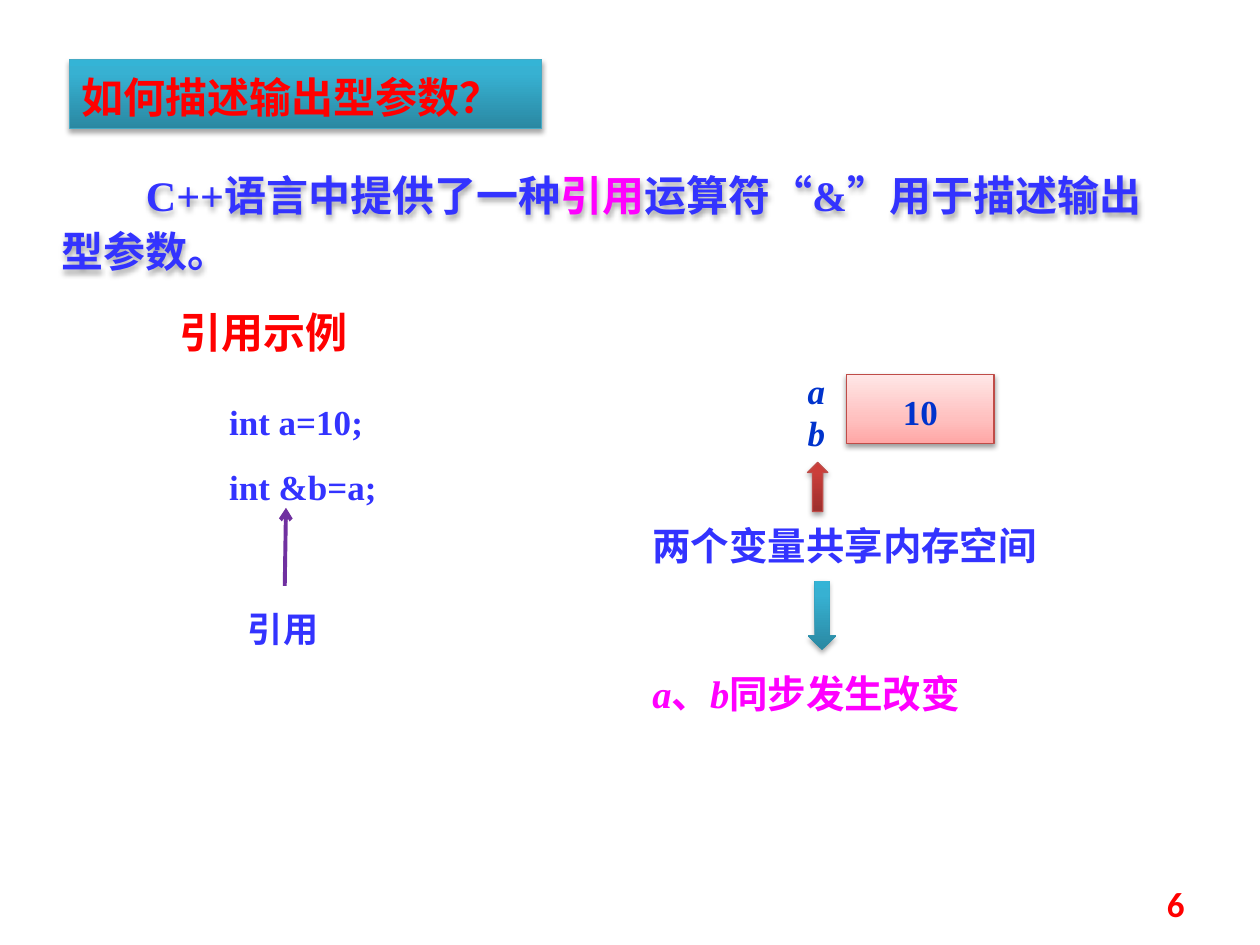
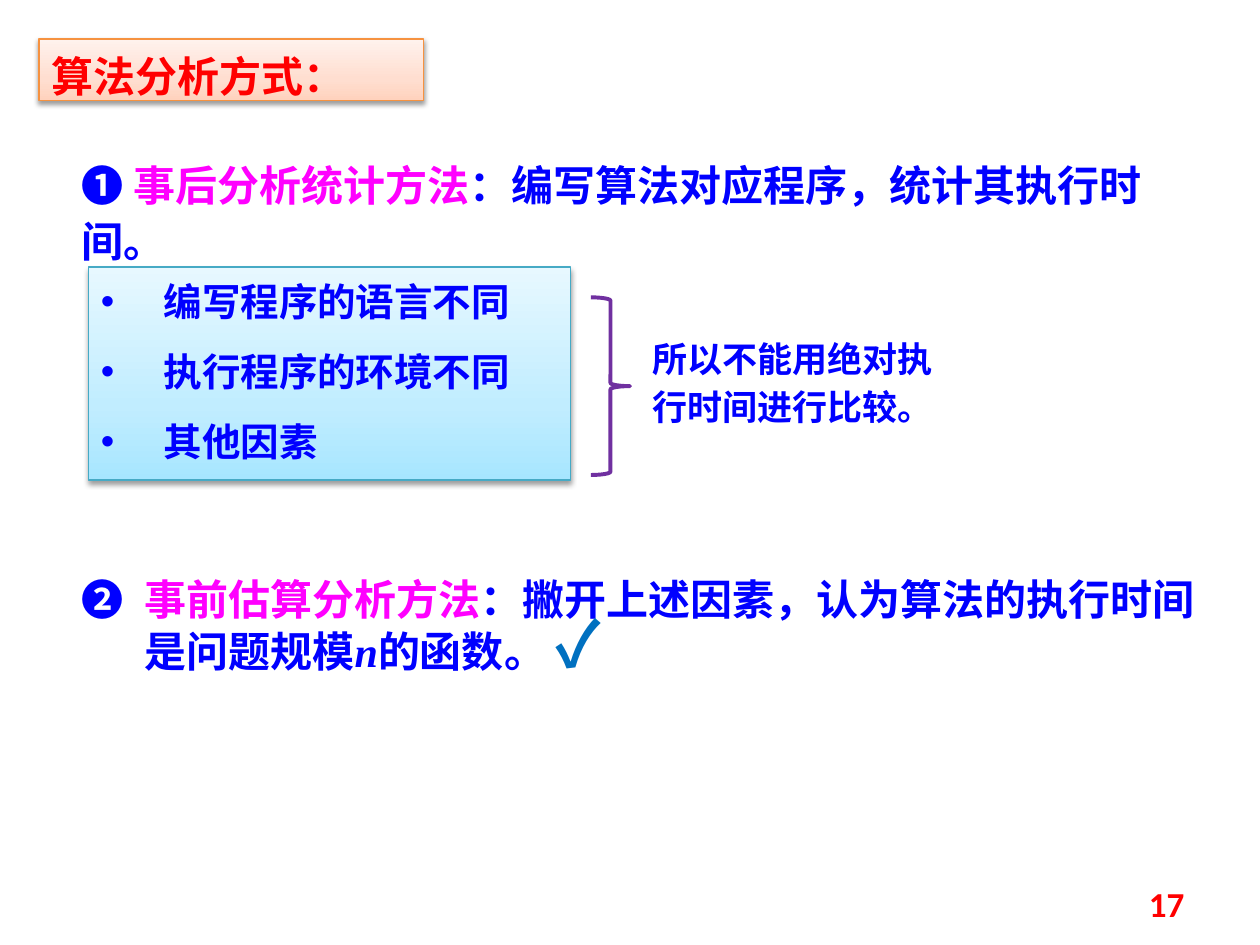
from dataclasses import dataclass

from lxml.etree import SubElement
from pptx import Presentation
from pptx.dml.color import RGBColor
from pptx.enum.shapes import MSO_CONNECTOR, MSO_SHAPE
from pptx.enum.text import MSO_ANCHOR, MSO_AUTO_SIZE, PP_ALIGN
from pptx.oxml.ns import qn
from pptx.util import Inches, Pt


@dataclass(frozen=True)
class Gradient:
    """Colour stops (percent, colour) running from the bottom edge upwards."""
    stops: tuple[tuple[int, str], ...]
    line: str | None = None
    shadow_alpha: int = 35


@dataclass(frozen=True)
class Theme:
    blue: str = "3333FF"
    navy: str = "0033CC"
    pure_blue: str = "0000FF"
    magenta: str = "FF00FF"
    red: str = "FF0000"
    purple: str = "7030A0"
    tick: str = "0070C0"
    serif: str = "Times New Roman"
    sans: str = "Calibri"
    chinese: str = "Noto Sans CJK SC"
    heading: int = 24
    body: int = 22
    small: int = 20
    mark: int = 36
    teal: Gradient = Gradient(((0, "2A88A2"), (80, "37B1D2"), (100, "34B4D6")), "46AAC5")
    teal_plain: Gradient = Gradient(((0, "2A88A2"), (80, "37B1D2"), (100, "34B4D6")))
    crimson: Gradient = Gradient(((0, "9C2F2D"), (80, "CB3E3A"), (100, "CE3B37")), "BF4C48")
    pink: Gradient = Gradient(((0, "FFA6A5"), (35, "FFC0BF"), (100, "FFE7E7")), "BF4C48", 38)
    peach: Gradient = Gradient(((0, "FFD2BD"), (35, "FFDED0"), (100, "FFF2ED")), "F69240", 38)
    sky: Gradient = Gradient(((0, "A7E6FF"), (35, "C1EDFF"), (100, "E7F8FF")), "46AAC5", 38)


THEME = Theme()


@dataclass(frozen=True)
class Area:
    left: float
    top: float
    width: float
    height: float


@dataclass(frozen=True)
class Span:
    text: str
    color: str
    italic: bool = False
    size: int | None = None


@dataclass(frozen=True)
class Style:
    size: int = THEME.small
    font: str = THEME.serif
    align: PP_ALIGN = PP_ALIGN.LEFT
    anchor: MSO_ANCHOR = MSO_ANCHOR.TOP
    margin: float = 0
    indent: float = 0


HEADING = Style(THEME.heading)
BODY = Style(THEME.body)
SMALL = Style()
LIST = Style(THEME.body, THEME.sans, PP_ALIGN.JUSTIFY, margin=0.5, indent=-0.5)


def place(shape, area: Area) -> None:
    shape.left, shape.top = Inches(area.left), Inches(area.top)
    shape.width, shape.height = Inches(area.width), Inches(area.height)


def add_shadow(shape, alpha: int) -> None:
    shape.shadow.inherit = False
    effects = shape._element.spPr.find(qn("a:effectLst"))
    shadow = SubElement(effects, qn("a:outerShdw"), blurRad=str(Pt(3.1)),
                        dist=str(Pt(1.7)), dir="5400000", rotWithShape="0")
    color = SubElement(shadow, qn("a:srgbClr"), val="000000")
    SubElement(color, qn("a:alpha"), val=str(alpha * 1000))


def paint(shape, gradient: Gradient) -> None:
    """Fill a shape with a gradient, and give it its outline and shadow."""
    shape.fill.solid()
    properties = shape._element.spPr
    fill = SubElement(properties, qn("a:gradFill"), rotWithShape="1")
    properties.replace(properties.find(qn("a:solidFill")), fill)
    stops = SubElement(fill, qn("a:gsLst"))
    for percent, color in gradient.stops:
        stop = SubElement(stops, qn("a:gs"), pos=str(percent * 1000))
        SubElement(stop, qn("a:srgbClr"), val=color)
    SubElement(fill, qn("a:lin"), ang="16200000", scaled="0")
    if gradient.line:
        shape.line.color.rgb = RGBColor.from_string(gradient.line)
        shape.line.width = Pt(0.75)
    else:
        shape.line.fill.background()
    add_shadow(shape, gradient.shadow_alpha)


def write(shape, style: Style, *lines: list[Span]) -> None:
    """Write one paragraph for each list of spans."""
    frame = shape.text_frame
    frame.word_wrap = True
    frame.auto_size = MSO_AUTO_SIZE.NONE
    frame.vertical_anchor = style.anchor
    for number, spans in enumerate(lines):
        para = frame.add_paragraph() if number else frame.paragraphs[0]
        para.alignment = style.align
        para.line_spacing = Pt(round(style.size * 4 / 3))
        para.space_before = Pt(style.size / 2)
        properties = para._p.get_or_add_pPr()
        properties.set("marL", str(Inches(style.margin)))
        properties.set("indent", str(Inches(style.indent)))
        for span in spans:
            run = para.add_run()
            run.text = span.text
            font = run.font
            font.size = Pt(span.size or style.size)
            font.bold = True
            font.italic = span.italic
            font.color.rgb = RGBColor.from_string(span.color)
            font.name = style.font
            SubElement(run._r.get_or_add_rPr(), qn("a:ea"), typeface=THEME.chinese)


def add_text(page, area: Area, style: Style, *lines: list[Span]):
    box = page.shapes.add_textbox(0, 0, 0, 0)
    place(box, area)
    write(box, style, *lines)
    return box


def add_block(page, kind: MSO_SHAPE, area: Area, gradient: Gradient):
    block = page.shapes.add_shape(kind, 0, 0, 0, 0)
    place(block, area)
    paint(block, gradient)
    return block


def add_page(deck, layout: int, title: str, area: Area, gradient: Gradient, number: int):
    """Add a slide with its coloured title band and page number."""
    page = deck.slides.add_slide(deck.slide_layouts[layout])
    band = page.shapes.title
    place(band, area)
    paint(band, gradient)
    write(band, HEADING, [Span(title, THEME.red)])
    number_style = Style(THEME.small, THEME.sans, PP_ALIGN.RIGHT, MSO_ANCHOR.MIDDLE)
    add_text(page, Area(7.17, 6.95, 2.33, 0.4), number_style, [Span(str(number), THEME.red)])
    return page


def add_reference_arrow(page) -> None:
    arrow = page.shapes.add_connector(
        MSO_CONNECTOR.STRAIGHT, Inches(2.26), Inches(4.65), Inches(2.27), Inches(4.03))
    arrow.line.color.rgb = RGBColor.from_string(THEME.purple)
    arrow.line.width = Pt(2.25)
    SubElement(arrow.line._get_or_add_ln(), qn("a:tailEnd"), type="arrow")
    SubElement(arrow._element.spPr, qn("a:effectLst"))


def build_reference_page(deck) -> None:
    blue, magenta = THEME.blue, THEME.magenta
    page = add_page(deck, 5, "如何描述输出型参数？", Area(0.55, 0.47, 3.75, 0.55), THEME.teal, 6)
    intro = add_text(page, Area(0.39, 1.25, 8.91, 0.99), Style(THEME.heading, indent=0.67),
                     [Span("C++语言中提供了一种", blue), Span("引用", magenta),
                      Span("运算符“&”用于描述输出型参数。", blue)])
    add_shadow(intro, 35)
    add_text(page, Area(1.33, 2.34, 1.72, 0.51), HEADING, [Span("引用示例", THEME.red)])
    add_text(page, Area(1.72, 3.09, 1.95, 1.01), SMALL,
             [Span("int a=10;", blue)], [Span("int &b=a;", blue)])
    add_reference_arrow(page)
    add_text(page, Area(1.87, 4.73, 0.86, 0.43), SMALL, [Span("引用", blue)])

    for name, top in (("a", 2.89), ("b", 3.22)):
        label = add_text(page, Area(6.41, top, 0.23, 0.35), SMALL,
                         [Span(name, THEME.navy, italic=True)])
        frame = label.text_frame
        frame.margin_left = frame.margin_right = frame.margin_top = frame.margin_bottom = 0
    memory = add_block(page, MSO_SHAPE.RECTANGLE, Area(6.72, 2.97, 1.17, 0.55), THEME.pink)
    write(memory, Style(align=PP_ALIGN.CENTER, anchor=MSO_ANCHOR.MIDDLE),
          [Span("10", THEME.navy)])

    add_block(page, MSO_SHAPE.UP_ARROW, Area(6.41, 3.67, 0.16, 0.39), THEME.crimson)
    add_text(page, Area(5.08, 4.06, 3.52, 0.46), BODY, [Span("两个变量共享内存空间", blue)])
    add_block(page, MSO_SHAPE.DOWN_ARROW, Area(6.41, 4.61, 0.23, 0.55), THEME.teal_plain)
    add_text(page, Area(5.08, 5.23, 2.97, 0.51), BODY,
             [Span("a", magenta, italic=True), Span("、", magenta),
              Span("b", magenta, italic=True), Span("同步发生改变", magenta)])


def build_analysis_page(deck) -> None:
    blue, magenta = THEME.pure_blue, THEME.magenta
    page = add_page(deck, 1, "算法分析方式：", Area(0.31, 0.31, 3.05, 0.49), THEME.peach, 17)
    afterwards = add_text(page, Area(0.55, 1.17, 9.22, 0.55), HEADING,
                          [Span("❶ ", blue), Span("事后分析统计方法", magenta),
                           Span("：编写算法对应程序，统计其执行时间。", blue)])
    afterwards.text_frame.margin_right = Inches(0.45)

    factors = page.placeholders[1]
    place(factors, Area(0.7, 2.12, 3.83, 1.69))
    paint(factors, THEME.sky)
    write(factors, LIST, *([Span(factor, blue)] for factor in
                           ("编写程序的语言不同", "执行程序的环境不同", "其他因素")))

    brace = page.shapes.add_shape(MSO_SHAPE.RIGHT_BRACE, 0, 0, 0, 0)
    place(brace, Area(4.69, 2.36, 0.31, 1.41))
    brace.fill.background()
    brace.line.color.rgb = RGBColor.from_string(THEME.purple)
    brace.line.width = Pt(2.25)
    brace.shadow.inherit = False
    add_text(page, Area(5.08, 2.59, 2.66, 0.84), SMALL,
             [Span("所以不能用绝对执行时间进行比较。", blue)])

    add_text(page, Area(0.55, 4.46, 9.14, 1), Style(THEME.heading, margin=0.5, indent=-0.5),
             [Span("❷\t", blue), Span("事前估算分析方法", magenta),
              Span("：撇开上述因素，认为算法的执行时间是问题规模", blue),
              Span("n", blue, italic=True), Span("的函数。 ", blue),
              Span("✓", THEME.tick, size=THEME.mark)])


def main() -> None:
    deck = Presentation()
    deck.slide_width, deck.slide_height = Inches(10), Inches(7.5)
    build_reference_page(deck)
    build_analysis_page(deck)
    deck.save("out.pptx")


if __name__ == "__main__":
    main()
